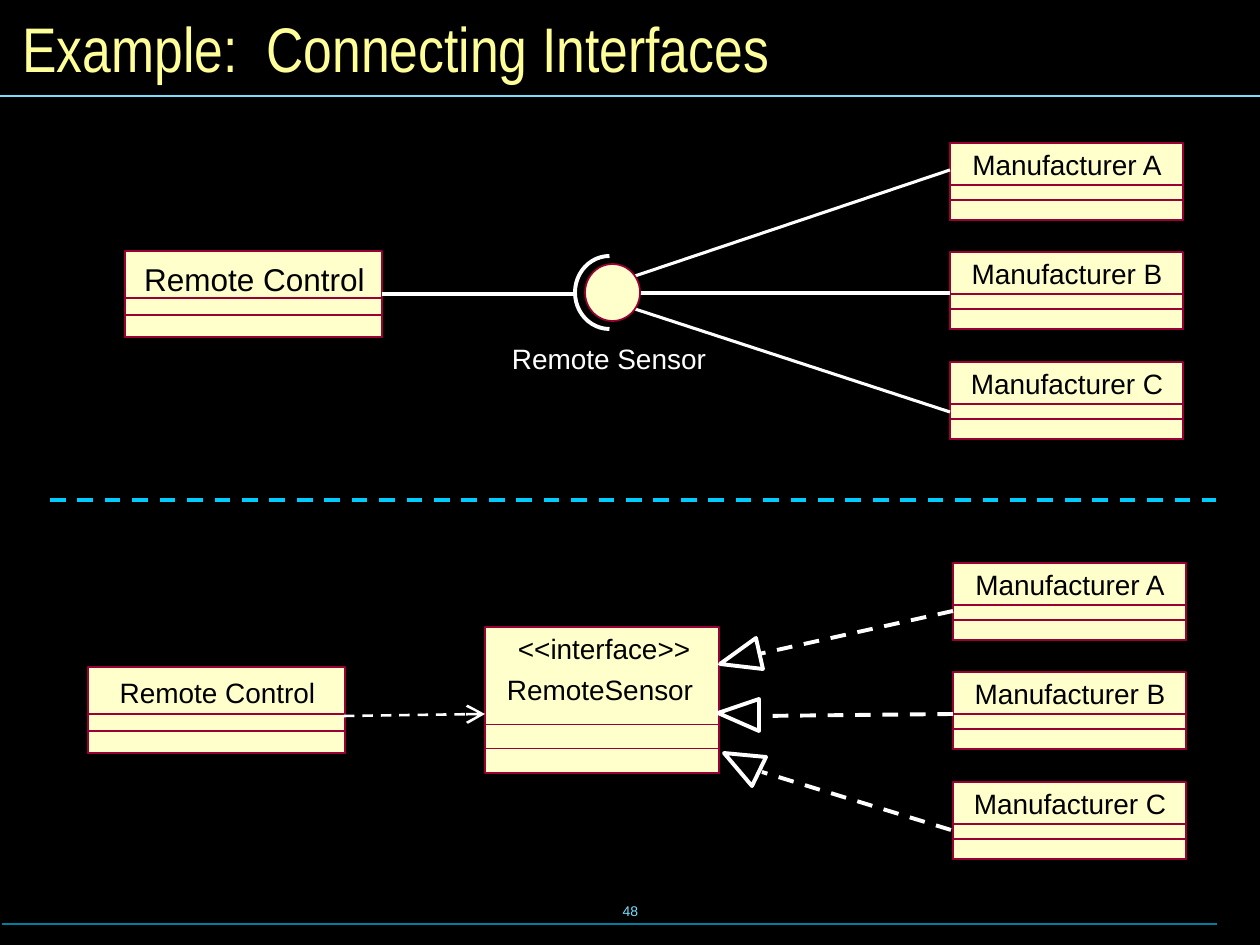
"""Build the Connecting Interfaces slide: lollipop notation above, interface class below."""
import pptx
import pptx.util
import pptx.dml.color
import pptx.enum.dml
import pptx.enum.shapes
import pptx.enum.text
import pptx.oxml.ns
import lxml.etree

PX = 914400 / 126
HUES = {"back": "000000", "title": "FFFF99", "rule": "73E1FF", "foot": "007E9F",
        "box": "FFFFCC", "edge": "990033", "ink": "000000", "link": "FFFFFF", "split": "00CCFF"}
KIND = pptx.enum.shapes.MSO_SHAPE
LEFT, MID = pptx.enum.text.PP_ALIGN.LEFT, pptx.enum.text.PP_ALIGN.CENTER

RULES = [((0, 96), (1260, 96), "rule", 0.75), ((2, 924), (1217, 924), "foot", 0.75)]
SPLIT = ((50, 500), (1216, 500), "split", 2.25, True)
MAKERS = ["Manufacturer A", "Manufacturer B", "Manufacturer C"]
STACKS = [(950, 143), (953, 563)]
STEPS = [0, 109, 219]
MAKER = {"size": (233, 77), "cuts": (42, 57), "text": (13, 5, 208, 34), "pt": 16}
REMOTE = {"size": (257, 86), "cuts": (47, 64), "text": (11, 9, 237, 38), "pt": 16}
SPOKES = [((950, 170), (635, 276)), ((950, 293), (639, 293)), ((950, 412), (635, 309))]
REALS = [((953, 611), (759, 654)), ((953, 714), (761, 716)), ((951, 830), (762, 772))]
HEADS = [[(720, 664), (763, 669), (756, 638)],
         [(718, 713), (759, 699), (759, 731)],
         [(724, 753), (766, 757), (752, 786)]]
LABELS = [("RemoteSensor", (507, 673, 204, 34), "ink"),
          ("<<interface>>", (518, 632, 190, 34), "ink"),
          ("Remote Sensor", (512, 342, 212, 34), "link")]


def emu(*vals):
    return [round(v * PX) for v in vals]


def rgb(key):
    return pptx.dml.color.RGBColor.from_string(HUES[key])


def shape(host, kind, area, fill, edge="edge", width=1):
    item = host.add_shape(kind, *emu(*area))
    return style(item, fill, edge, width)


def style(item, fill, edge, width):
    item.shadow.inherit = False
    if fill:
        item.fill.solid()
        item.fill.fore_color.rgb = rgb(fill)
    else:
        item.fill.background()
    item.line.color.rgb = rgb(edge)
    item.line.width = pptx.util.Pt(width)
    return item


def line(host, start, end, hue="link", width=2.25, dash=False):
    item = host.add_connector(pptx.enum.shapes.MSO_CONNECTOR.STRAIGHT, *emu(*start, *end))
    item.line.color.rgb = rgb(hue)
    item.line.width = pptx.util.Pt(width)
    if dash:
        item.line.dash_style = pptx.enum.dml.MSO_LINE.DASH
    props = item._element.spPr
    lxml.etree.SubElement(props, pptx.oxml.ns.qn("a:effectLst"))
    return item


def text(host, words, area, size, hue, align=LEFT, font="Arial", pad=0, anchor="TOP"):
    box = host.add_textbox(*emu(*area))
    frame = box.text_frame
    frame.word_wrap = True
    frame.vertical_anchor = getattr(pptx.enum.text.MSO_ANCHOR, anchor)
    frame.margin_left = frame.margin_right = pptx.util.Inches(pad)
    frame.margin_top = frame.margin_bottom = pptx.util.Inches(pad / 2)
    frame.text = words
    para = frame.paragraphs[0]
    para.alignment = align
    face = para.runs[0].font
    face.name, face.size = font, pptx.util.Pt(size)
    face.color.rgb = rgb(hue)


def card(tree, name, x, y, plan, size=None):
    group = tree.add_group_shape()
    wide, high = plan["size"]
    body = shape(group.shapes, KIND.RECTANGLE, (x, y, wide, high), "box")
    for cut in plan["cuts"]:
        shape(group.shapes, KIND.RECTANGLE, (x, y + cut, wide, high - cut), None)
    dx, dy, w, h = plan["text"]
    text(tree, name, (x + dx, y + dy, w, h), size or plan["pt"], "ink", MID)
    return body


def main():
    deck = pptx.Presentation()
    deck.slide_width, deck.slide_height = emu(1260, 945)
    slide = deck.slides.add_slide(deck.slide_layouts[6])
    slide.background.fill.solid()
    slide.background.fill.fore_color.rgb = rgb("back")
    tree = slide.shapes

    text(tree, "48", (431, 879, 399, 63), 8, "rule", MID, pad=0.1, anchor="MIDDLE")
    for rule in RULES:
        line(tree, *rule)
    text(tree, "Example:  Connecting Interfaces", (10, 11, 1240, 73), 36, "title",
         font="Arial Narrow", pad=0.1, anchor="MIDDLE")
    line(tree, *SPLIT)

    for x, y in STACKS:
        for name, step in zip(MAKERS, STEPS):
            card(tree, name, x, y + step, MAKER)

    remote = card(tree, "Remote Control", 125, 251, REMOTE, 18)
    stem = line(tree, (382, 294), (574, 294), width=2)
    stem.begin_connect(remote, 3)
    for start, end in SPOKES:
        line(tree, start, end, width=1.75)
    shape(tree, KIND.OVAL, (585, 264, 55, 57), "box")
    socket = shape(tree, KIND.ARC, (575, 256, 69, 73), None, "link", 2.25)
    socket.adjustments[0], socket.adjustments[1] = 54, 162

    card(tree, "Remote Control", 88, 667, REMOTE)
    shape(tree, KIND.RECTANGLE, (485, 627, 234, 146), "box", width=0)
    shape(tree, KIND.RECTANGLE, (485, 724, 234, 49), None, width=0.25)
    line(tree, (485, 748), (719, 748), "edge", 0.25)
    for words, area, hue in LABELS:
        text(tree, words, area, 16, hue)
    for (start, end), head in zip(REALS, HEADS):
        line(tree, start, end, dash=True)
        pen = tree.build_freeform(*head[0], scale=PX)
        pen.add_line_segments(head[1:], close=True)
        style(pen.convert_to_shape(), None, "link", 2.25)
    uses = line(tree, (344, 716), (485, 714), width=1.5, dash=True)
    stroke = uses.line._get_or_add_ln()
    lxml.etree.SubElement(stroke, pptx.oxml.ns.qn("a:tailEnd"), type="arrow", w="lg", len="lg")

    deck.save("out.pptx")


if __name__ == "__main__":
    main()
